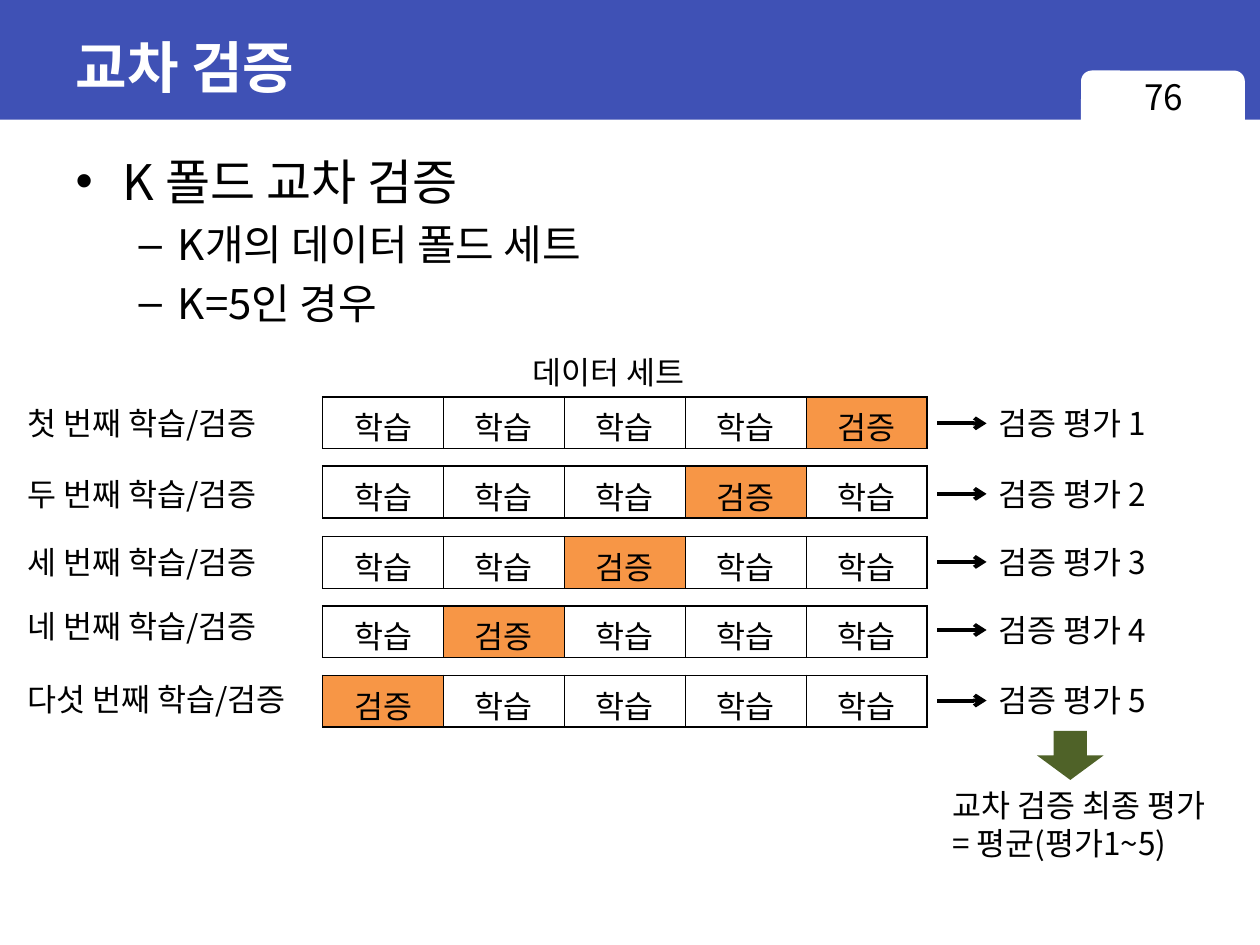
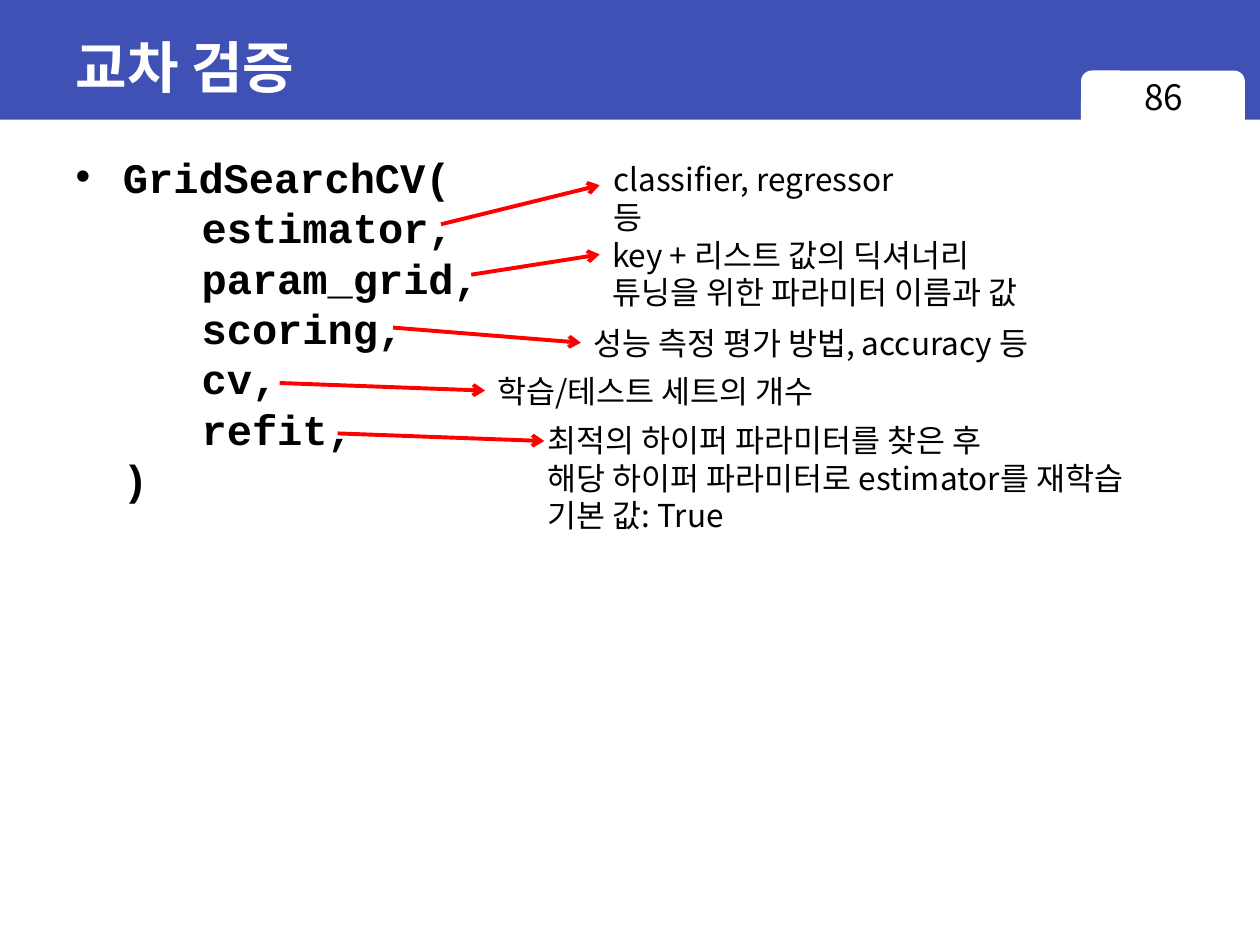
from dataclasses import dataclass

from lxml import etree
from pptx import Presentation
from pptx import util as u
from pptx.dml.color import RGBColor
from pptx.enum import shapes, text
from pptx.oxml import ns


@dataclass(frozen=True)
class Theme:
    band: str = "3F51B5"
    paper: str = "FFFFFF"
    ink: str = "000000"
    check: str = "F79646"
    result: str = "4F6228"
    pointer: str = "FF0000"
    title_font: str = "Arial"
    body_font: str = "Noto Sans CJK KR"
    code_font: str = "Courier New"
    title: int = 32
    lead: int = 28
    sub: int = 24
    number: int = 20
    label: int = 18


T = Theme()
PX = 9144


def fmt(tf, size, font=T.body_font, color=T.ink, bold=False, align=None):
    for p in tf.paragraphs:
        p.alignment = align
        for r in p.runs:
            r.font.size = u.Pt(size)
            r.font.name = font
            r.font.bold = bold
            r.font.color.rgb = RGBColor.from_string(color)
            ea = etree.SubElement(r._r.get_or_add_rPr(), ns.qn("a:ea"))
            ea.set("typeface", T.body_font)


def add_label(s, x, y, w, h, words, size=T.label, align=None):
    sp = s.shapes.add_textbox(x * PX, y * PX, w * PX, h * PX)
    tf = sp.text_frame
    tf.word_wrap = True
    tf.text = words
    fmt(tf, size, align=align)
    return sp


prs = Presentation()
prs.slide_width = 1000 * PX
prs.slide_height = 750 * PX
layout = prs.slide_layouts[1]
folds = prs.slides.add_slide(layout)
search = prs.slides.add_slide(layout)

frame = [
    (shapes.MSO_SHAPE.RECTANGLE, 0, 0, 1000, 95, T.band),
    (shapes.MSO_SHAPE.ROUNDED_RECTANGLE, 858, 56, 130, 51, T.paper),
]
for i, (kind, x, y, w, h, color) in enumerate(frame):
    sp = folds.shapes.add_shape(kind, x * PX, y * PX, w * PX, h * PX)
    sp.shadow.inherit = False
    sp.fill.solid()
    sp.fill.fore_color.rgb = RGBColor.from_string(color)
    sp.line.fill.background()
    sp.element.nvSpPr.cNvPr.set("id", str(20 + i))
    layout.shapes.element.insert(2 + i, sp.element)

bodies = [
    (folds, "76", "K 폴드 교차 검증\nK개의 데이터 폴드 세트\nK=5인 경우"),
    (search, "86", "GridSearchCV(\v\testimator,\v\tparam_grid,\v\tscoring,\v\tcv,\v\trefit,\v)"),
]
for s, number, words in bodies:
    title, body = s.placeholders
    for sp, (x, y, w, h) in ((title, (50, 11, 900, 83)), (body, (50, 115, 938, 614))):
        sp.left, sp.top, sp.width, sp.height = x * PX, y * PX, w * PX, h * PX
    title.text_frame.text = "교차 검증"
    title.text_frame.vertical_anchor = text.MSO_ANCHOR.MIDDLE
    fmt(title.text_frame, T.title, T.title_font, T.paper, True, text.PP_ALIGN.LEFT)
    body.text_frame.text = words
    add_label(s, 858, 55, 131, 52, number, T.number, text.PP_ALIGN.CENTER)

tf = folds.placeholders[1].text_frame
fmt(tf, T.sub)
tf.paragraphs[0].space_before = u.Pt(0)
tf.paragraphs[0].runs[0].font.size = u.Pt(T.lead)
for p in tf.paragraphs[1:]:
    p.level = 1

tf = search.placeholders[1].text_frame
p = tf.paragraphs[0]
p.space_before = u.Pt(0)
tabs = etree.SubElement(p._p.get_or_add_pPr(), ns.qn("a:tabLst"))
etree.SubElement(tabs, ns.qn("a:tab"), pos=str(100 * PX), algn="l")
fmt(tf, T.sub, T.code_font, bold=True)

arrows = []
add_label(folds, 413, 275, 155, 40, "데이터 세트")
rounds = [
    ("첫", 316, 316),
    ("두", 372, 372),
    ("세", 426, 426),
    ("네", 477, 480),
    ("다섯", 535, 536),
]
n = len(rounds)
for i, (ordinal, name_y, score_y) in enumerate(rounds):
    y = round(315 + 55.25 * i)
    table = folds.shapes.add_table(1, n, 256 * PX, y * PX, 480 * PX, 41 * PX).table
    table.first_row = False
    table.horz_banding = False
    for j, cell in enumerate(table.rows[0].cells):
        held_out = j == n - 1 - i
        cell.text = "검증" if held_out else "학습"
        fmt(cell.text_frame, T.label, align=text.PP_ALIGN.CENTER)
        tc_pr = cell._tc.get_or_add_tcPr()
        for side in ("lnL", "lnR", "lnT", "lnB"):
            ln = etree.SubElement(tc_pr, ns.qn("a:" + side), w=str(u.Pt(1)))
            fill = etree.SubElement(ln, ns.qn("a:solidFill"))
            etree.SubElement(fill, ns.qn("a:srgbClr"), val=T.ink)
        if held_out:
            cell.fill.solid()
            cell.fill.fore_color.rgb = RGBColor.from_string(T.check)
        else:
            cell.fill.background()
    add_label(folds, 12, name_y, 250 if i == n - 1 else 225, 40, f"{ordinal} 번째 학습/검증")
    score = add_label(folds, 783, score_y, 153, 40, f"검증 평가 {i + 1}")
    arrows.append((folds, T.ink, (744, score_y + 20, 783, score_y + 20), score))

sp = folds.shapes.add_shape(shapes.MSO_SHAPE.DOWN_ARROW, 823 * PX, 580 * PX, 53 * PX, 39 * PX)
sp.shadow.inherit = False
sp.fill.solid()
sp.fill.fore_color.rgb = RGBColor.from_string(T.result)
sp.line.fill.background()
add_label(folds, 746, 619, 249, 71, "교차 검증 최종 평가\n= 평균(평가1~5)")

notes = [
    ((477, 122, 268, 40), "classifier, regressor 등", (350, 178, 476, 147), False),
    ((476, 182, 384, 71), "key + 리스트 값의 딕셔너리\n튜닝을 위한 파라미터 이름과 값",
     (374, 218, 476, 202), False),
    ((461, 252, 396, 40), "성능 측정 평가 방법, accuracy 등", (312, 260, 461, 273), True),
    ((385, 290, 301, 40), "학습/테스트 세트의 개수", (222, 304, 386, 310), True),
    ((425, 329, 517, 101),
     "최적의 하이퍼 파라미터를 찾은 후\v해당 하이퍼 파라미터로 estimator를 재학습\n기본 값: True",
     (268, 344, 432, 350), False),
]
for box, words, ends, joined in notes:
    sp = add_label(search, *box, words)
    arrows.append((search, T.pointer, ends, sp if joined else None))

for s, color, ends, target in arrows:
    cx = s.shapes.add_connector(shapes.MSO_CONNECTOR.STRAIGHT, *(v * PX for v in ends))
    if target is not None:
        cx.end_connect(target, 1)
    cx.line.color.rgb = RGBColor.from_string(color)
    cx.line.width = u.Pt(2.25)
    etree.SubElement(cx.get_or_add_ln(), ns.qn("a:tailEnd"), type="arrow")
    etree.SubElement(cx.element.spPr, ns.qn("a:effectLst"))

prs.save("out.pptx")
